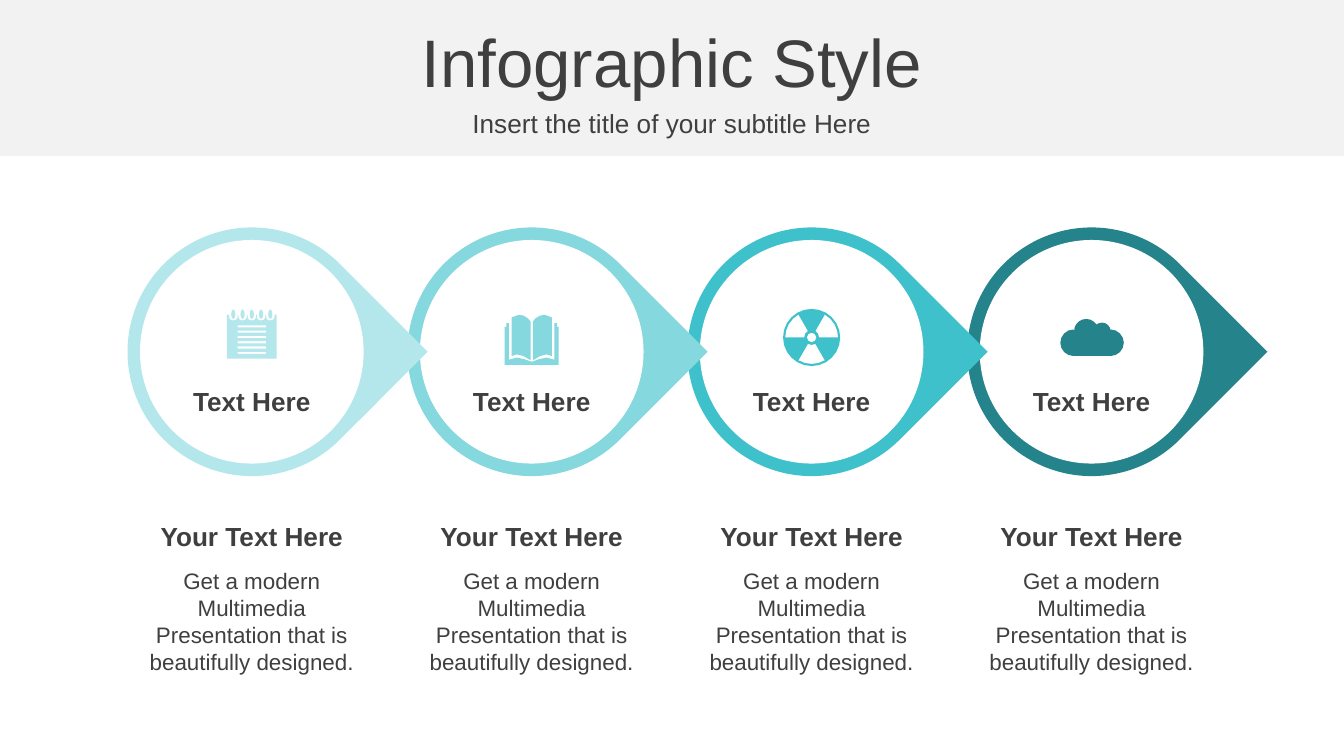
from math import cos, radians, sin

from pptx import Presentation
from pptx.dml.color import RGBColor
from pptx.enum.shapes import MSO_SHAPE as Shape
from pptx.enum.text import MSO_ANCHOR as Anchor, PP_ALIGN as Align
from pptx.util import Cm, Pt

# Content
TITLE = "Infographic Style"
SUBTITLE = "Insert the title of your subtitle Here"
BODY = "Get a modern Multimedia Presentation that is beautifully designed."
STEPS = [  # label, heading, body, colour, icon
    ("Text Here", "Your Text Here", BODY, "pale", "notepad"),
    ("Text Here", "Your Text Here", BODY, "light", "book"),
    ("Text Here", "Your Text Here", BODY, "bright", "radiation"),
    ("Text Here", "Your Text Here", BODY, "dark", "cloud"),
]
COLORS = {"text": "3F3F3F", "band": "F2F2F2", "white": "FFFFFF", "pale": "B4E7EB",
          "light": "85D8DE", "bright": "3FC1CB", "dark": "25848B"}
FONT = "Arial"

# Layout, in centimetres
WIDTH, HEIGHT = 25.4, 14.29
FIRST_X, PITCH = 4.76, 5.29
RING_Y, ICON_Y = 6.65, 6.38
DROP, DISC = 4.7, 4.2


def color(name):
    return RGBColor.from_string(COLORS[name])


def add_shape(kind, x, y, w, h, fill, line=None):
    s = slide.shapes.add_shape(kind, Cm(x), Cm(y), Cm(w), Cm(h))
    s.shadow.inherit = False
    s.fill.solid()
    s.fill.fore_color.rgb = color(fill)
    if line:
        s.line.color.rgb = color(line)
        s.line.width = Pt(0.75)
    else:
        s.line.fill.background()
    return s


def add_text(text, x, y, w, h, size, bold=False):
    tf = slide.shapes.add_textbox(Cm(x), Cm(y), Cm(w), Cm(h)).text_frame
    tf.word_wrap = True
    tf.vertical_anchor = Anchor.MIDDLE
    tf.text = text
    p = tf.paragraphs[0]
    p.alignment = Align.CENTER
    font = p.runs[0].font
    font.name, font.size, font.bold = FONT, Pt(size), bold
    font.color.rgb = color("text")


def arc(x, y, rx, ry, start=0, end=360, steps=8):
    """Points on an ellipse, clockwise from the right, angles in degrees."""
    angles = [radians(start + (end - start) * i / steps) for i in range(steps + 1)]
    return [(x + rx * cos(a), y + ry * sin(a)) for a in angles]


# Icons: lists of closed contours around the icon centre
def notepad():
    ring_xs = [0.175 * i for i in range(-2, 3)]
    page = [(-0.47, -0.43)]
    for x in ring_xs:
        notch = arc(x, -0.38, 0.08, 0.06, 180, 0, 4)
        page += [(x - 0.08, -0.43), *notch, (x + 0.08, -0.43)]
    page += [(0.47, -0.43), (0.47, 0.4), (-0.47, 0.4)]
    rings = [arc(x, -0.44, 0.04, 0.09) for x in ring_xs]
    tops = [-0.23 + 0.1 * i for i in range(6)]
    lines = [[(-0.27, y), (0.27, y), (0.27, y + 0.04), (-0.27, y + 0.04)] for y in tops]
    return [page, *rings, *lines]


def book():
    page = [(0.02, -0.3), (0.07, -0.36), (0.15, -0.41), (0.24, -0.43),
            (0.38, -0.38), (0.38, 0.35), (0.28, 0.32), (0.16, 0.35), (0.02, 0.43)]
    cover = [(0.51, -0.2), (0.51, 0.52), (0, 0.52), (0, 0.46), (0.14, 0.41),
             (0.28, 0.38), (0.43, 0.42), (0.43, -0.27), (0.48, -0.27), (0.48, -0.2)]
    return [[(side * x, y) for x, y in part] for side in (-1, 1) for part in (page, cover)]


def radiation():
    sectors = [arc(0, 0, 0.14, 0.14, a, a + 60, 2) + arc(0, 0, 0.5, 0.5, a + 60, a, 4)
               for a in (60, 180, 300)]
    return [arc(0, 0, 0.54, 0.54, steps=24), arc(0, 0, 0.09, 0.09), *sectors]


def cloud():
    return [arc(-0.34, 0.1, 0.25, 0.25, 90, 270) + arc(-0.1, -0.12, 0.23, 0.23, 180, 327)
            + arc(0.2, -0.12, 0.16, 0.16, 250, 360, 5) + arc(0.36, 0.1, 0.25, 0.25, 270, 450)]


ICONS = {"notepad": notepad, "book": book, "radiation": radiation, "cloud": cloud}


def add_icon(name, x, y, fill):
    contours = [[(Cm(x + dx), Cm(y + dy)) for dx, dy in part] for part in ICONS[name]()]
    builder = slide.shapes.build_freeform(*contours[0][0])
    for i, points in enumerate(contours):
        if i:
            builder.move_to(*points[0])
        builder.add_line_segments(points[1:], close=True)
    s = builder.convert_to_shape()
    s.shadow.inherit = False
    s.fill.solid()
    s.fill.fore_color.rgb = color(fill)
    s.line.fill.background()


prs = Presentation()
prs.slide_width, prs.slide_height = Cm(WIDTH), Cm(HEIGHT)
slide = prs.slides.add_slide(prs.slide_layouts[6])

# Header
add_shape(Shape.RECTANGLE, 0, 0, WIDTH, 2.95, "band")
add_text(TITLE, 0, 0.34, WIDTH, 1.6, 36)
add_text(SUBTITLE, 0, 1.94, WIDTH, 0.79, 14)

# Steps, from right to left so that each tip overlaps the next ring
for i, (label, heading, body, tone, icon) in reversed(list(enumerate(STEPS))):
    x = FIRST_X + i * PITCH
    drop = add_shape(Shape.TEAR, x - DROP / 2, RING_Y - DROP / 2, DROP, DROP, tone)
    drop.rotation = 45
    add_shape(Shape.OVAL, x - DISC / 2, RING_Y - DISC / 2, DISC, DISC, "white", "white")
    add_icon(icon, x, ICON_Y, tone)
    add_text(label, x - 1.83, 7.16, 3.66, 0.86, 14, bold=True)
    add_text(heading, x - 2.4, 9.7, 4.8, 0.86, 14, bold=True)
    add_text(body, x - 2.4, 10.59, 4.8, 2.31, 12)

prs.save("out.pptx")
